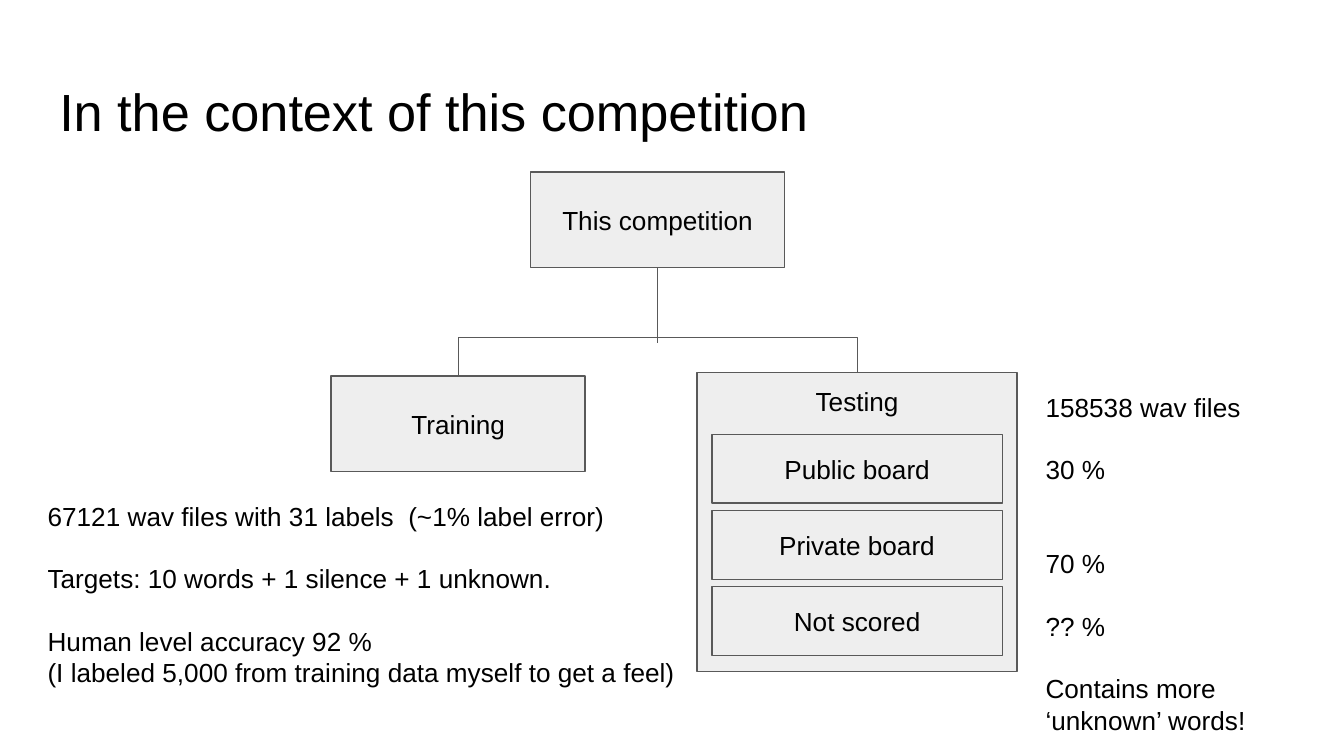
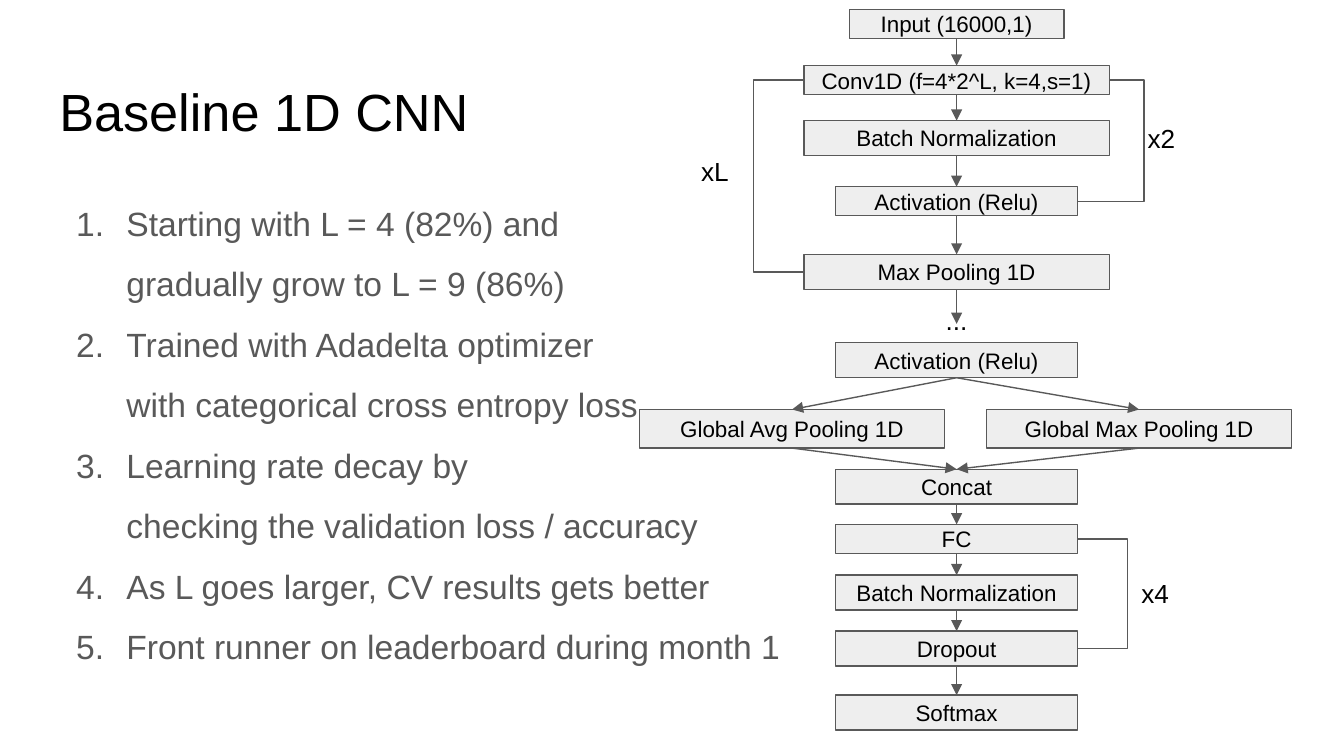
import pptx
import pptx.util
import pptx.dml.color
import pptx.enum.shapes
import pptx.enum.text
import pptx.oxml
import pptx.oxml.ns

Cm = pptx.util.Cm
Pt = pptx.util.Pt
ALIGN = pptx.enum.text.PP_ALIGN
ANCHOR = pptx.enum.text.MSO_ANCHOR
CONNECTOR = pptx.enum.shapes.MSO_CONNECTOR
COLOURS = {"text": "000000", "body": "595959", "fill": "EEEEEE", "line": "595959"}
FONT = "Arial"
TOP, LEFT, BOTTOM, RIGHT = range(4)  # connection sites of a rectangle
BLANK_LINE = 16.75  # points
THINNEST = 600  # width of an elbow between two aligned sides


def colour(name):
    """Return the named colour."""
    return pptx.dml.color.RGBColor.from_string(COLOURS[name])


def add_xml(parent, tag, **attributes):
    """Append a child element with the given attributes and return it."""
    child = parent.makeelement(pptx.oxml.ns.qn(tag), attributes)
    parent.append(child)
    return child


def write(frame, text, size=14, ink="text", align=ALIGN.LEFT, anchor=ANCHOR.TOP,
          spacing=None, gaps=(), numbered=False):
    """Fill a text frame, one paragraph per line of text."""
    frame.word_wrap = True
    frame.auto_size = pptx.enum.text.MSO_AUTO_SIZE.NONE
    frame.vertical_anchor = anchor
    frame.margin_left = frame.margin_right = Cm(0.25)
    frame.margin_top = frame.margin_bottom = Cm(0.25)
    for index, line in enumerate(text.split("\n")):
        paragraph = frame.paragraphs[0] if index == 0 else frame.add_paragraph()
        paragraph.text = line
        paragraph.alignment = align
        paragraph.line_spacing = spacing
        paragraph.space_before = Pt(gaps[index] * BLANK_LINE if gaps else 0)
        paragraph.font.size = Pt(size)
        for run in paragraph.runs:
            run.font.name = FONT
            run.font.size = Pt(size)
            run.font.color.rgb = colour(ink)
        if numbered:
            properties = paragraph._p.get_or_add_pPr()
            properties.set("marL", str(Cm(1.27)))
            properties.set("indent", str(-Cm(0.95)))
            bullet_colour = add_xml(properties, "a:buClr")
            add_xml(bullet_colour, "a:srgbClr", val=COLOURS[ink])
            add_xml(properties, "a:buAutoNum", type="arabicPeriod")


class Deck:
    """Holds the presentation, its style and the current slide."""

    def __init__(self):
        """Start an empty widescreen presentation."""
        self.presentation = pptx.Presentation()
        self.presentation.slide_width = Cm(25.4)
        self.presentation.slide_height = Cm(14.29)
        self.slide = None

    def new_slide(self, title):
        """Add a slide with its title."""
        self.slide = self.presentation.slides.add_slide(
            self.presentation.slide_layouts[5])
        shape = self.slide.shapes.title
        shape.left, shape.top = Cm(0.87), Cm(1.24)
        shape.width, shape.height = Cm(23.67), Cm(1.6)
        write(shape.text_frame, title, size=28)

    def text(self, text, left, top, width, height, **style):
        """Add a text box."""
        shape = self.slide.shapes.add_textbox(
            Cm(left), Cm(top), Cm(width), Cm(height))
        write(shape.text_frame, text, **style)

    def box(self, text, centre, top, width, height, size=14, anchor=ANCHOR.MIDDLE):
        """Add a grey box around a horizontal centre."""
        shape = self.slide.shapes.add_shape(
            pptx.enum.shapes.MSO_SHAPE.RECTANGLE,
            Cm(centre - width / 2), Cm(top), Cm(width), Cm(height))
        shape.shadow.inherit = False
        shape.fill.solid()
        shape.fill.fore_color.rgb = colour("fill")
        shape.line.color.rgb = colour("line")
        shape.line.width = Pt(0.75)
        write(shape.text_frame, text, size=size, align=ALIGN.CENTER, anchor=anchor)
        return shape

    def connector(self, kind, x=0, top=0, bottom=0, arrow=False):
        """Add a styled connector, upright at x until it is attached."""
        connector = self.slide.shapes.add_connector(
            kind, Cm(x), Cm(top), Cm(x), Cm(bottom))
        connector.line.color.rgb = colour("line")
        connector.line.width = Pt(0.75)
        if arrow:
            add_xml(connector.line._get_or_add_ln(), "a:tailEnd", type="triangle")
        add_xml(connector._element.spPr, "a:effectLst")
        return connector

    def arrow(self, upper, lower):
        """Draw an arrow from the bottom of one box to the top of another."""
        connector = self.connector(CONNECTOR.STRAIGHT, arrow=True)
        connector.begin_connect(upper, BOTTOM)
        connector.end_connect(lower, TOP)

    def bracket(self, first, second, site, reach):
        """Join the same side of two boxes with an elbow that reaches outwards."""
        connector = self.connector(CONNECTOR.ELBOW)
        connector.begin_connect(first, site)
        connector.end_connect(second, site)
        across = connector.end_x - connector.begin_x
        down = connector.end_y - connector.begin_y
        properties = connector._element.spPr
        transform = properties.find(pptx.oxml.ns.qn("a:xfrm"))
        if site == TOP:
            # An upright elbow is a sideways one turned by 90 degrees.
            middle_x = (connector.begin_x + connector.end_x) // 2
            middle_y = (connector.begin_y + connector.end_y) // 2
            transform.attrib.pop("flipH", None)
            transform.set("rot", "5400000")
            connector.width, connector.height = down, -across
            connector.left = middle_x - down // 2
            connector.top = middle_y + across // 2
            run = down
        elif across == 0:
            # Attaching leaves a flip behind, which would turn the elbow inwards.
            transform.attrib.pop("flipH", None)
            connector.width = run = THINNEST
        else:
            run = across
        adjustments = properties.find(".//" + pptx.oxml.ns.qn("a:avLst"))
        add_xml(adjustments, "a:gd", name="adj1",
                fmla=f"val {round(100000 * Cm(reach) / run)}")


def competition_slide(deck):
    """Build the tree of the competition's data."""
    deck.new_slide("In the context of this competition")
    deck.box("This competition", 12.43, 3.25, 4.8, 1.81)
    training = deck.box("Training", 8.66, 7.11, 4.8, 1.81)
    testing = deck.box("Testing", 16.2, 7.04, 6.05, 5.65, anchor=ANCHOR.TOP)
    for row, name in enumerate(("Public board", "Private board", "Not scored")):
        deck.box(name, 16.2, 8.21 + 1.44 * row, 5.49, 1.3)
    deck.bracket(testing, training, TOP, -0.66)
    deck.connector(CONNECTOR.STRAIGHT, 12.43, 5.06, 6.48)
    deck.text("67121 wav files with 31 labels  (~1% label error)\n"
              "Targets: 10 words + 1 silence + 1 unknown.\n"
              "Human level accuracy 92 %\n"
              "(I labeled 5,000 from training data myself to get a feel)",
              0.65, 9.2, 12.95, 3.91, gaps=(0, 1, 1, 0))
    deck.text("158538 wav files\n30 %\n70 %\n?? %\n"
              "Contains more ‘unknown’ words!",
              19.51, 7.14, 4.8, 6.86, gaps=(0, 1, 2, 1, 1))


def network_slide(deck):
    """Build the diagram of the network beside its numbered notes."""
    deck.new_slide("Baseline 1D CNN")
    centre, wide, narrow = 18.08, 5.77, 4.57
    thin, tall = 0.55, 0.66

    def stack(*layers):
        """Add boxes from top to bottom, joined by arrows."""
        boxes = [deck.box(name, centre, top, width, height, size=12)
                 for name, top, width, height in layers]
        for upper, lower in zip(boxes, boxes[1:]):
            deck.arrow(upper, lower)
        return boxes

    _, convolution, _, activation, pooling = stack(
        ("Input (16000,1)", 0.18, 4.06, thin),
        ("Conv1D (f=4*2^L, k=4,s=1)", 1.24, wide, thin),
        ("Batch Normalization", 2.28, wide, tall),
        ("Activation (Relu)", 3.53, narrow, thin),
        ("Max Pooling 1D", 4.81, wide, tall))
    deck.connector(CONNECTOR.STRAIGHT, centre, 5.47, 6.12, arrow=True)
    deck.text("...", centre - 0.7, 5.61, 1.4, 0.28, align=ALIGN.CENTER)
    split, = stack(("Activation (Relu)", 6.48, narrow, tall))
    concat, dense, _, dropout, _ = stack(
        ("Concat", 8.87, narrow, tall),
        ("FC", 9.91, narrow, thin),
        ("Batch Normalization", 10.87, narrow, tall),
        ("Dropout", 11.93, narrow, tall),
        ("Softmax", 13.14, narrow, tall))
    for name, branch_centre in (("Avg", 14.97), ("Max", 21.53)):
        branch = deck.box(f"Global {name} Pooling 1D", branch_centre, 7.74,
                          wide, 0.73, size=12)
        deck.arrow(split, branch)
        deck.arrow(branch, concat)

    deck.bracket(convolution, activation, RIGHT, 0.66)
    deck.bracket(dense, dropout, RIGHT, 0.79)
    deck.bracket(convolution, pooling, LEFT, -0.79)
    for label, left, top in (("x2", 21.44, 2.06), ("x4", 21.32, 10.67),
                             ("xL", 13, 2.69)):
        deck.text(label, left, top, 1.12, 1.07)

    deck.text("Starting with L = 4 (82%) and\vgradually grow to L = 9 (86%)\n"
              "Trained with Adadelta optimizer\vwith categorical cross entropy loss\n"
              "Learning rate decay by\vchecking the validation loss / accuracy\n"
              "As L goes larger, CV results gets better\n"
              "Front runner on leaderboard during month 1",
              0.87, 3.2, 14.53, 9.5, size=18, ink="body", spacing=1.5, numbered=True)


def main():
    """Build and save the presentation."""
    deck = Deck()
    competition_slide(deck)
    network_slide(deck)
    deck.presentation.save("out.pptx")


main()
